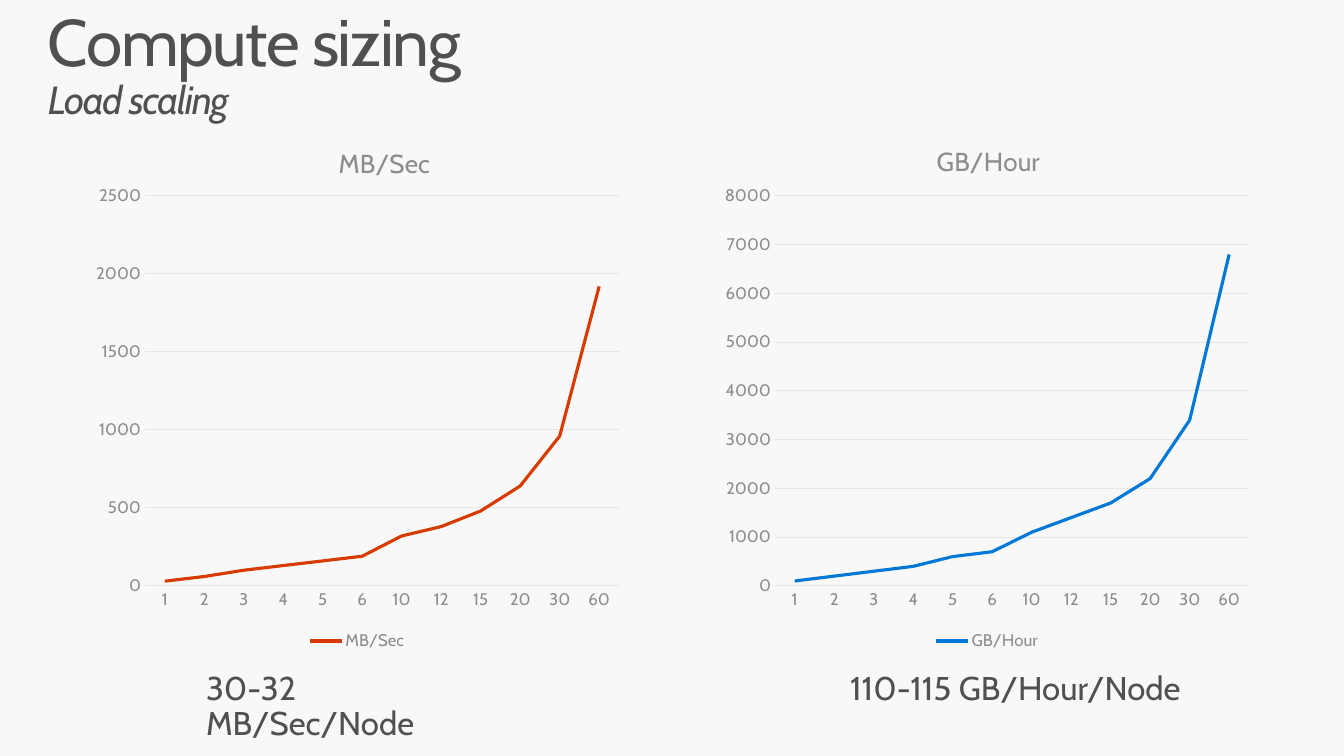
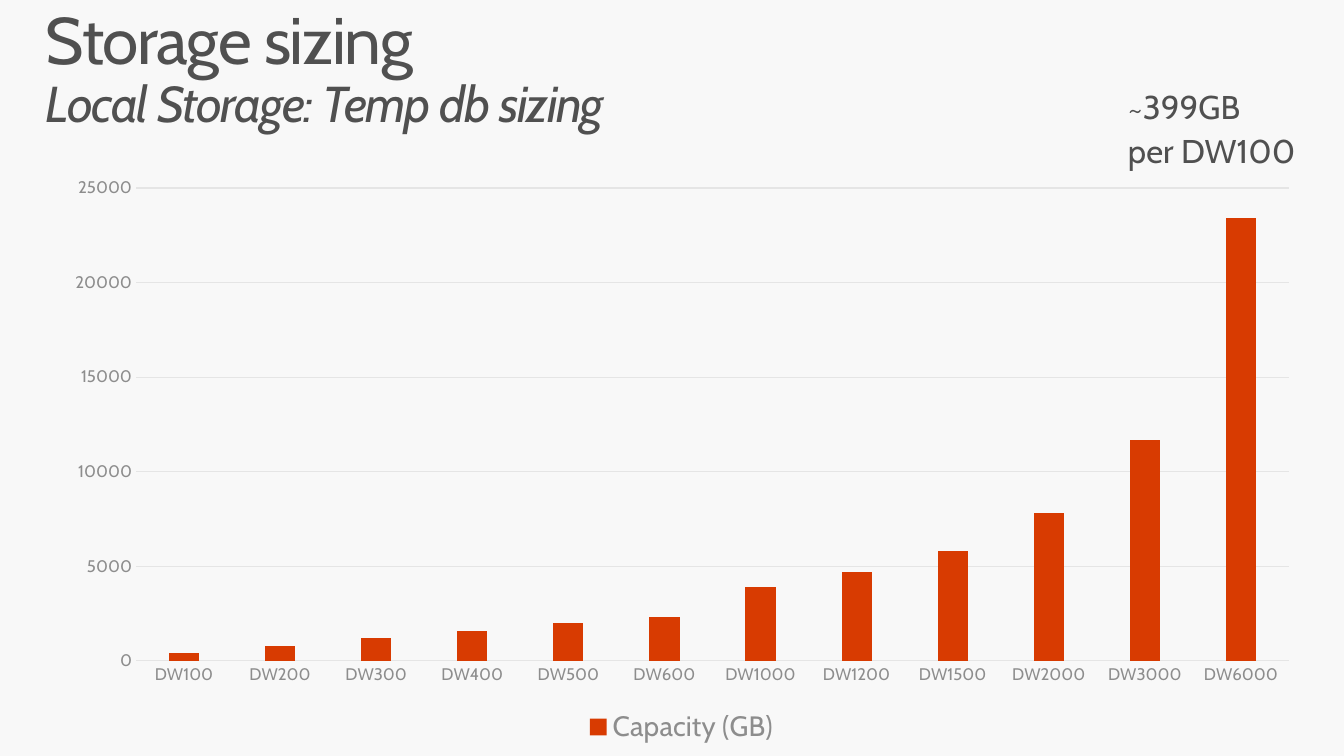
from lxml import etree
from pptx import Presentation
from pptx.chart.data import CategoryChartData
from pptx.dml.color import RGBColor
from pptx.enum.chart import XL_CHART_TYPE, XL_LEGEND_POSITION, XL_MARKER_STYLE, XL_TICK_MARK
from pptx.enum.text import MSO_ANCHOR
from pptx.oxml.ns import qn
from pptx.util import Pt

LINE = XL_CHART_TYPE.LINE
COLUMN = XL_CHART_TYPE.COLUMN_CLUSTERED
LEGEND_BOTTOM = XL_LEGEND_POSITION.BOTTOM
NO_MARKER = XL_MARKER_STYLE.NONE
NO_TICK = XL_TICK_MARK.NONE
TOP = MSO_ANCHOR.TOP

PX = 914400 / 100.8
SLIDE_SIZE = (1344, 756)
FONT = "Cabin"
COLORS = {
    "page": "F8F8F8",
    "text": "505050",
    "label": "8D8D8D",
    "grid": "E5E5E5",
    "orange": "D83B01",
    "blue": "0078D7",
}

NODES = ["1", "2", "3", "4", "5", "6", "10", "12", "15", "20", "30", "60"]
MB_PER_SEC = [30, 60, 100, 130, 160, 190, 320, 380, 480, 640, 960, 1920]
GB_PER_HOUR = [100, 200, 300, 400, 600, 700, 1100, 1400, 1700, 2200, 3400, 6800]
UNITS = [100, 200, 300, 400, 500, 600, 1000, 1200, 1500, 2000, 3000, 6000]
CAPACITY = [400, 800, 1200, 1600, 2000, 2300, 3900, 4700, 5800, 7800, 11700, 23400]


def emu(*lengths):
    return [round(length * PX) for length in lengths]


def rgb(name):
    return RGBColor.from_string(COLORS[name])


def style_font(font, size, color):
    font.name = FONT
    font.size = Pt(size)
    font.bold = False
    font.color.rgb = rgb(color)


def add_span(para, text, size, italic=False, spacing=0):
    span = para.add_run()
    span.text = text
    style_font(span.font, size, "text")
    span.font.italic = italic
    if spacing:
        span.font._element.set("spc", str(spacing))


def add_text_frame(page, box, inset_x, inset_y):
    frame = page.shapes.add_textbox(*emu(*box)).text_frame
    frame.word_wrap = True
    frame.vertical_anchor = TOP
    frame.margin_left, frame.margin_right = emu(inset_x, inset_x)
    frame.margin_top, frame.margin_bottom = emu(inset_y, inset_y)
    return frame


def add_title(page, box, title, subtitle, subtitle_size):
    para = add_text_frame(page, box, 16, 10).paragraphs[0]
    para.line_spacing = 0.9
    add_span(para, title, 47, spacing=-100)
    para.add_line_break()
    add_span(para, subtitle, subtitle_size, italic=True, spacing=-100)


def add_callout(page, box, lines):
    frame = add_text_frame(page, box, 20, 16)
    for index, line in enumerate(lines):
        para = frame.add_paragraph() if index else frame.paragraphs[0]
        para.line_spacing = 0.9
        para.space_after = Pt(5.9)
        add_span(para, line, 23.5)


def set_layout(parent, index, settings):
    for old in parent.findall(qn("c:layout")):
        parent.remove(old)
    layout = etree.Element(qn("c:layout"))
    parent.insert(index, layout)
    manual = etree.SubElement(layout, qn("c:manualLayout"))
    for tag, value in settings.items():
        etree.SubElement(manual, qn("c:" + tag)).set("val", str(value))


def edge_position(box, left, top):
    return {
        "xMode": "edge",
        "yMode": "edge",
        "x": round(left / box[2], 4),
        "y": round(top / box[3], 4),
    }


def place_plot(chart, box, plot_box):
    left, top, width, height = plot_box
    settings = {"layoutTarget": "inner"}
    settings.update(edge_position(box, left, top))
    settings["w"] = round(width / box[2], 4)
    settings["h"] = round(height / box[3], 4)
    set_layout(chart._chartSpace.find(".//" + qn("c:plotArea")), 0, settings)


def style_axes(chart, maximum, step):
    for axis in (chart.category_axis, chart.value_axis):
        axis.major_tick_mark = NO_TICK
        axis.minor_tick_mark = NO_TICK
        style_font(axis.tick_labels.font, 12, "label")
    values = chart.value_axis
    values.minimum_scale = 0
    values.maximum_scale = maximum
    values.major_unit = step
    values.format.line.fill.background()
    values.has_major_gridlines = True
    for line in (chart.category_axis.format.line, values.major_gridlines.format.line):
        line.color.rgb = rgb("grid")
        line.width = Pt(0.75)


def add_chart(page, box, plot_box, kind, name, categories, values, maximum, step, legend_size):
    data = CategoryChartData(number_format="0")
    data.categories = categories
    data.add_series(name, values)
    chart = page.shapes.add_chart(kind, *emu(*box), data).chart
    style_font(chart.font, 10, "text")
    chart.has_title = False
    chart.has_legend = True
    chart.legend.position = LEGEND_BOTTOM
    chart.legend.include_in_layout = False
    style_font(chart.legend.font, legend_size, "label")
    chart.plots[0].vary_by_categories = False
    style_axes(chart, maximum, step)
    place_plot(chart, box, plot_box)
    return chart


def add_line_chart(page, box, title_at, name, values, color, maximum, step):
    chart = add_chart(page, box, (60, 85, 474, 390), LINE, name, NODES, values, maximum, step, 12)
    chart.has_title = True
    span = chart.chart_title.text_frame.paragraphs[0].add_run()
    span.text = name
    style_font(span.font, 18.6, "label")
    set_layout(chart._chartSpace.find(".//" + qn("c:title")), 1, edge_position(box, *title_at))
    series = chart.plots[0].series[0]
    series.smooth = False
    series.marker.style = NO_MARKER
    series.format.line.color.rgb = rgb(color)
    series.format.line.width = Pt(2.25)


def add_column_chart(page, box, name, values, color, maximum, step):
    categories = [f"DW{unit}" for unit in UNITS]
    chart = add_chart(page, box, (87, 22, 1153, 473), COLUMN, name, categories, values, maximum, step, 20)
    plot = chart.plots[0]
    plot.gap_width = 219
    plot.overlap = -27
    fill = plot.series[0].format.fill
    fill.solid()
    fill.fore_color.rgb = rgb(color)


def build_compute_page(page):
    add_title(page, (32, 0, 1285, 99), "Compute sizing", "Load scaling", 28)
    add_line_chart(page, (85, 111, 544, 544), (249, 29), "MB/Sec", MB_PER_SEC, "orange", 2500, 500)
    add_line_chart(page, (715, 111, 544, 544), (217, 27), "GB/Hour", GB_PER_HOUR, "blue", 8000, 1000)
    add_callout(page, (186, 656, 341, 68), ["30-32 MB/Sec/Node"])
    add_callout(page, (830, 656, 393, 68), ["110-115 GB/Hour/Node"])


def build_storage_page(page):
    add_title(page, (30, -2, 1285, 99), "Storage sizing", "Local Storage: Temp db sizing", 36)
    add_column_chart(page, (49, 166, 1265, 584), "Capacity (GB)", CAPACITY, "orange", 25000, 5000)
    add_callout(page, (1108, 75, 235, 112), ["~399GB", "per DW100"])


def main():
    deck = Presentation()
    deck.slide_width, deck.slide_height = emu(*SLIDE_SIZE)
    background = deck.slide_master.background.fill
    background.solid()
    background.fore_color.rgb = rgb("page")
    for build in (build_compute_page, build_storage_page):
        build(deck.slides.add_slide(deck.slide_layouts[6]))
    deck.save("out.pptx")


if __name__ == "__main__":
    main()
